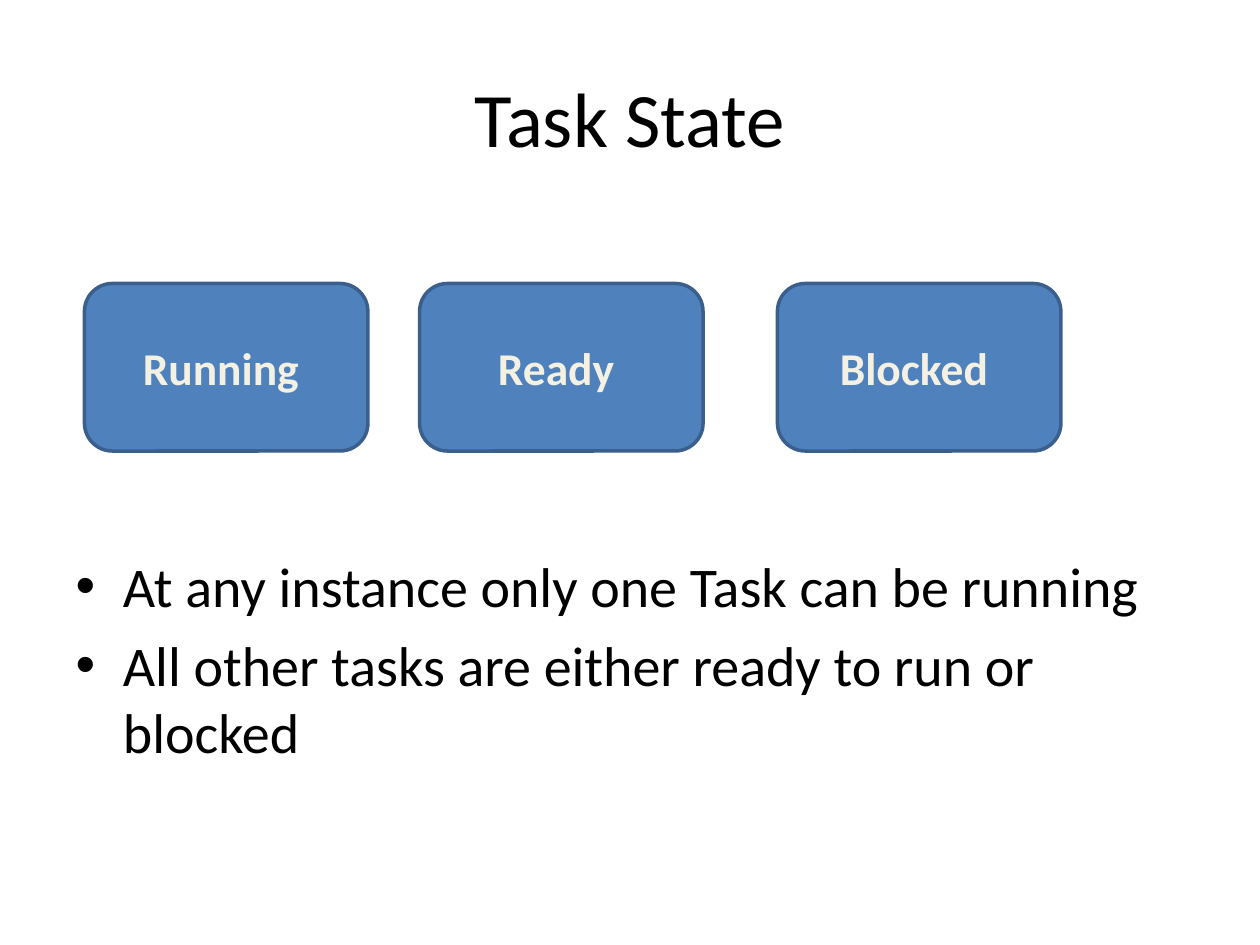
from lxml import etree
from pptx import Presentation
from pptx.dml.color import RGBColor
from pptx.enum.shapes import MSO_SHAPE
from pptx.enum.text import MSO_ANCHOR, PP_ALIGN
from pptx.oxml.ns import qn
from pptx.util import Inches, Pt

BLACK = RGBColor(0x00, 0x00, 0x00)
CREAM = RGBColor(0xF4, 0xF1, 0xE3)
BLUE = RGBColor(0x4F, 0x81, 0xBD)
BORDER_BLUE = RGBColor(0x3A, 0x5F, 0x8C)
OUTLINE_BLUE = RGBColor(0x05, 0x46, 0x97)


def write(paragraph, text, size, color=BLACK, bold=False, align=None, outline=None):
    paragraph.alignment = align
    run = paragraph.add_run()
    run.text = text
    run.font.name = "Calibri"
    run.font.size = Pt(size)
    run.font.bold = bold
    run.font.color.rgb = color
    if outline is not None:
        # The glyph outline comes before the fill in the run properties
        line = etree.Element(qn("a:ln"), w=str(Pt(1)))
        fill = etree.SubElement(line, qn("a:solidFill"))
        etree.SubElement(fill, qn("a:srgbClr"), val=str(outline))
        run.font._element.insert(0, line)


presentation = Presentation()
presentation.slide_width = Inches(10)
presentation.slide_height = Inches(7.5)
slide = presentation.slides.add_slide(presentation.slide_layouts[1])

# Title
title = slide.shapes.title
title.left, title.top = Inches(0.5), Inches(0.3)
title.width, title.height = Inches(9), Inches(1.25)
title.text_frame.vertical_anchor = MSO_ANCHOR.MIDDLE
write(title.text_frame.paragraphs[0], "Task State", size=44, align=PP_ALIGN.CENTER)

# Rules about the states
rules = slide.placeholders[1]
rules.left, rules.top = Inches(0.5), Inches(4.33)
rules.width, rules.height = Inches(9), Inches(2.37)
rule_texts = [
    "At any instance only one Task can be running",
    "All other tasks are either ready to run or blocked",
]
for index, rule in enumerate(rule_texts):
    frame = rules.text_frame
    paragraph = frame.add_paragraph() if index else frame.paragraphs[0]
    write(paragraph, rule, size=32)

# One rounded box per state
for state, left in [("Running ", 0.67), ("Ready ", 3.33), ("Blocked ", 6.17)]:
    state_box = slide.shapes.add_shape(
        MSO_SHAPE.ROUNDED_RECTANGLE,
        Inches(left), Inches(2.25), Inches(2.25), Inches(1.33),
    )
    state_box.shadow.inherit = False
    state_box.fill.solid()
    state_box.fill.fore_color.rgb = BLUE
    state_box.line.color.rgb = BORDER_BLUE
    state_box.line.width = Pt(2)
    state_box.text_frame.vertical_anchor = MSO_ANCHOR.MIDDLE
    write(state_box.text_frame.paragraphs[0], state, size=26, color=CREAM,
          bold=True, align=PP_ALIGN.CENTER, outline=OUTLINE_BLUE)

presentation.save("out.pptx")
